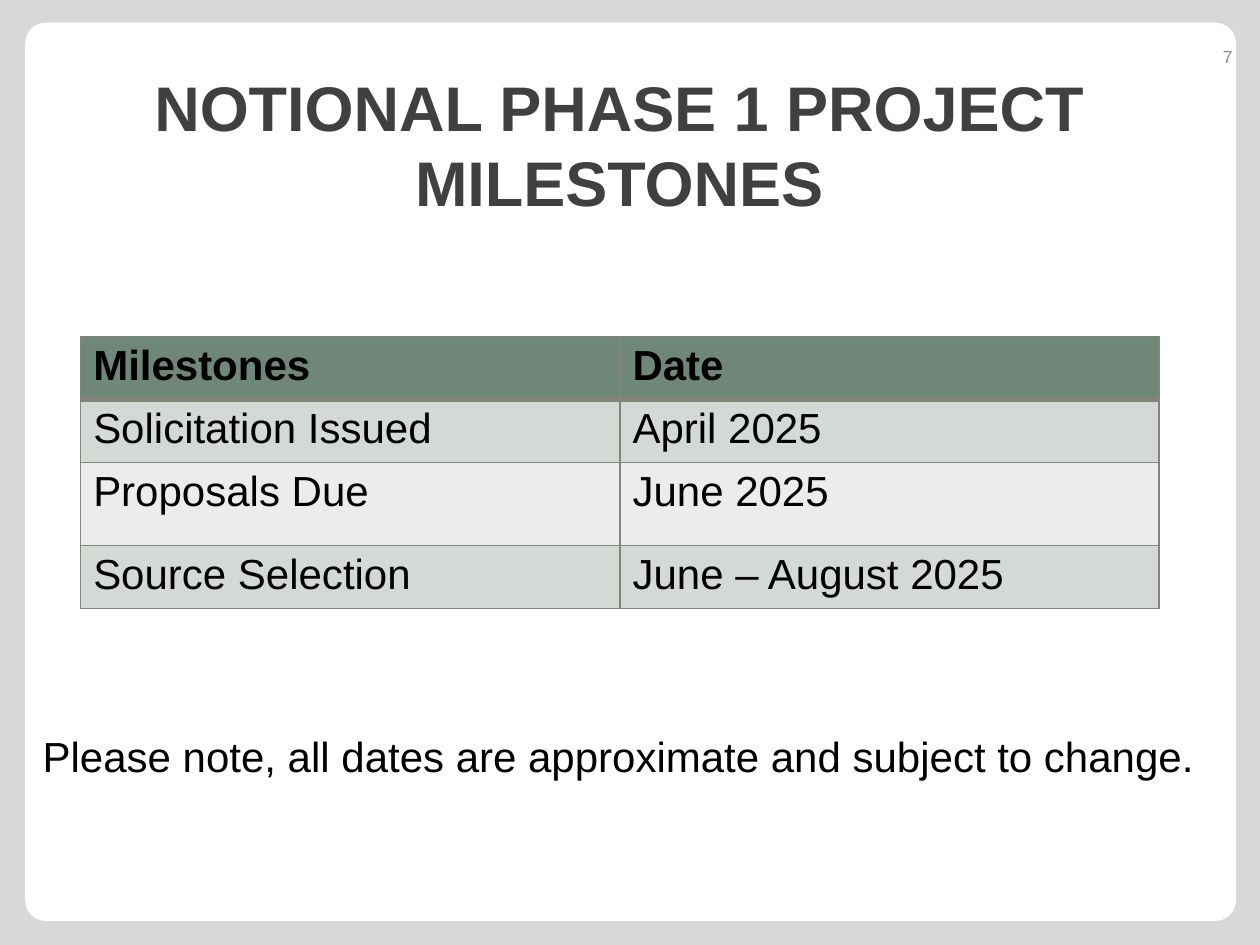
from lxml import etree
from pptx import Presentation
from pptx import util as u
from pptx.dml.color import RGBColor
from pptx.enum import shapes, text
from pptx.oxml.ns import qn

HUES = {
    "back": "D8D8D8", "panel": "FFFFFF", "title": "404040", "page": "898989",
    "ink": "000000", "head": "6E8778", "odd": "D5D9D6", "even": "EBEDEC",
    "rule": "83847A",
}
ROWS = [
    ("Milestones", "Date"),
    ("Solicitation Issued", "April 2025"),
    ("Proposals Due", "June 2025"),
    ("Source Selection", "June – August 2025"),
]
TALL = [0.5, 0.5, 0.66, 0.5]


def hue(name):
    """Return the named colour."""
    return RGBColor.from_string(HUES[name])


def paint(fill, name):
    """Make a fill solid in the named colour."""
    fill.solid()
    fill.fore_color.rgb = hue(name)


def style(para, size, name, bold=False):
    """Format every run of a paragraph."""
    for run in para.runs:
        run.font.name = "Arial"
        run.font.size = u.Pt(size)
        run.font.bold = bold
        run.font.color.rgb = hue(name)


def add_panel(slide):
    """Draw the rounded white panel."""
    box = [u.Inches(n) for n in (0.2, 0.18, 9.61, 7.13)]
    panel = slide.shapes.add_shape(shapes.MSO_SHAPE.ROUNDED_RECTANGLE, *box)
    panel.adjustments[0] = 0.023
    panel.shadow.inherit = False
    paint(panel.fill, "panel")
    panel.line.fill.background()


def add_label(slide, words, box, size, name, align, anchor, bold=False, wrap=True):
    """Add a text box with one paragraph."""
    frame = slide.shapes.add_textbox(*[u.Inches(n) for n in box]).text_frame
    frame.word_wrap = wrap
    frame.vertical_anchor = anchor
    frame.text = words
    para = frame.paragraphs[0]
    para.alignment = align
    style(para, size, name, bold)


def edge(cell, side, width):
    """Rule one side of a cell."""
    line = etree.SubElement(cell._tc.get_or_add_tcPr(), qn(f"a:ln{side}"),
                            w=str(u.Pt(width)))
    solid = etree.SubElement(line, qn("a:solidFill"))
    etree.SubElement(solid, qn("a:srgbClr"), val=HUES["rule"])


def add_dates(slide):
    """Add the milestone table."""
    box = [u.Inches(n) for n in (0.64, 2.67, 8.56, sum(TALL))]
    table = slide.shapes.add_table(len(ROWS), 2, *box).table
    for i, row in enumerate(ROWS):
        table.rows[i].height = u.Inches(TALL[i])
        shade = "head" if i == 0 else ("odd" if i % 2 else "even")
        for j, words in enumerate(row):
            cell = table.cell(i, j)
            cell.text = words
            style(cell.text_frame.paragraphs[0], 24, "ink", i == 0)
            for side in "LRTB":
                thick = (i, side) in ((0, "B"), (1, "T"))
                edge(cell, side, 3 if thick else 1)
            paint(cell.fill, shade)


def main():
    """Build and save the slide."""
    deck = Presentation()
    deck.slide_width, deck.slide_height = u.Inches(10), u.Inches(7.5)
    slide = deck.slides.add_slide(deck.slide_layouts[6])
    paint(slide.background.fill, "back")
    side, pin = text.PP_ALIGN, text.MSO_ANCHOR
    add_panel(slide)
    add_label(slide, "NOTIONAL PHASE 1 PROJECT MILESTONES",
              (0.33, 0.38, 9.17, 1.41), 36, "title", side.CENTER, pin.BOTTOM, bold=True)
    add_label(slide, "7", (9.08, 0.25, 0.8, 0.4), 10, "page", side.RIGHT, pin.MIDDLE)
    add_dates(slide)
    add_label(slide, "Please note, all dates are approximate and subject to change.",
              (0.24, 5.75, 9.52, 0.5), 24, "ink", side.LEFT, pin.TOP, wrap=False)
    deck.save("out.pptx")


if __name__ == "__main__":
    main()
